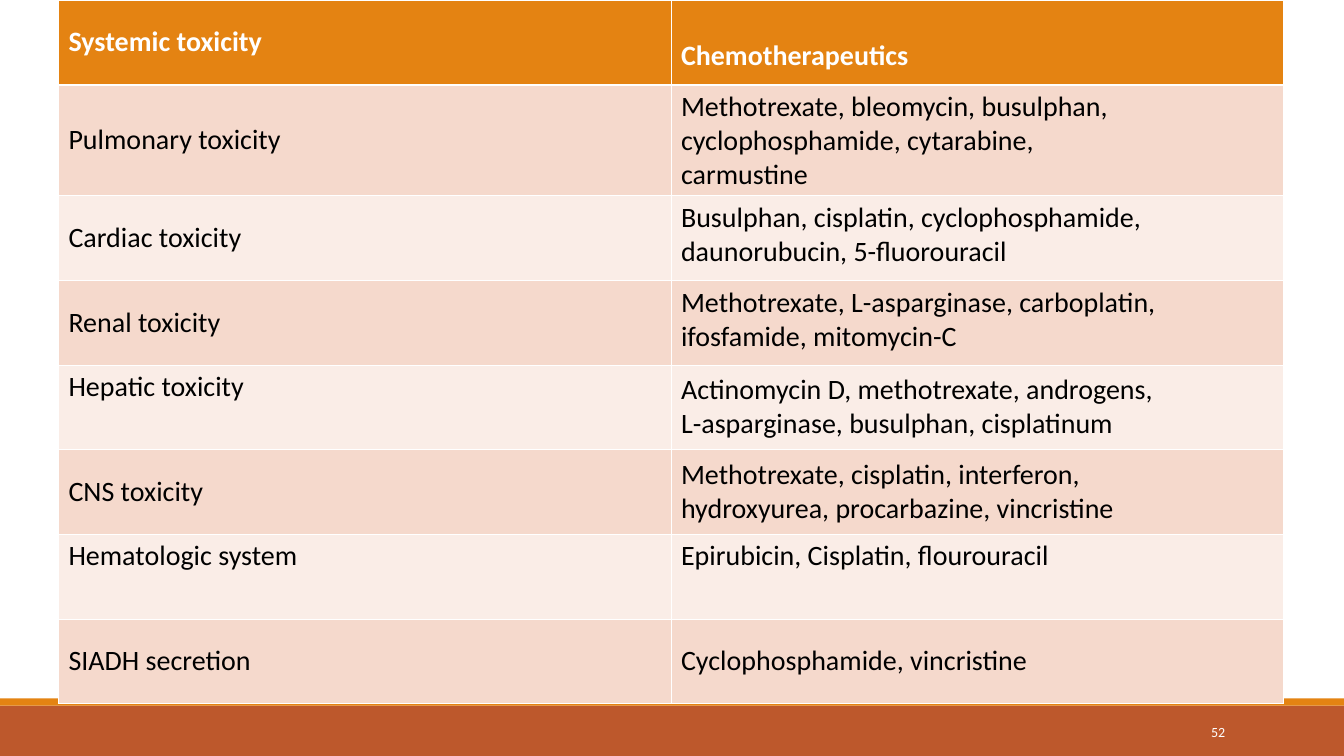
"""Build a slide with a table of systemic toxicities of chemotherapeutics."""
from lxml.etree import SubElement
from pptx import Presentation
from pptx.dml.color import RGBColor
from pptx.enum.shapes import MSO_SHAPE
from pptx.enum.text import MSO_ANCHOR, PP_ALIGN
from pptx.oxml.ns import qn
from pptx.util import Inches, Pt

TOP, MIDDLE, BOTTOM = MSO_ANCHOR.TOP, MSO_ANCHOR.MIDDLE, MSO_ANCHOR.BOTTOM
ROWS = [
    (("Systemic toxicity", MIDDLE), ("Chemotherapeutics", BOTTOM)),
    (("Pulmonary toxicity", MIDDLE),
     ("Methotrexate, bleomycin, busulphan,\ncyclophosphamide, cytarabine,\ncarmustine", TOP)),
    (("Cardiac toxicity", MIDDLE),
     ("Busulphan, cisplatin, cyclophosphamide,\ndaunorubucin, 5-fluorouracil", TOP)),
    (("Renal toxicity", MIDDLE),
     ("Methotrexate, L-asparginase, carboplatin,\nifosfamide, mitomycin-C", TOP)),
    (("Hepatic toxicity", TOP),
     ("Actinomycin D, methotrexate, androgens,\nL-asparginase, busulphan, cisplatinum", MIDDLE)),
    (("CNS toxicity", MIDDLE),
     ("Methotrexate, cisplatin, interferon,\nhydroxyurea, procarbazine, vincristine", MIDDLE)),
    (("Hematologic system", TOP), ("Epirubicin, Cisplatin, flourouracil", TOP)),
    (("SIADH secretion", MIDDLE), ("Cyclophosphamide, vincristine", MIDDLE)),
]
PAGE_NUMBER = "52"
COLORS = {"white": "FFFFFF", "black": "000000", "orange": "E48312",
          "rust": "BD582C", "dark_band": "F5D9CC", "light_band": "FAEDE7"}
BANDS = [("rust", 7, 0.5), ("orange", 6.93, 0.07)]
FONT = "Calibri"
ROW_HEIGHT, TALL_ROW_HEIGHT, COLUMN_WIDTH = 0.84, 1.1, 6.08
THIN, THICK = 0.45, 1.47


def color(name):
    return RGBColor.from_string(COLORS[name])


def write(para, text, size, ink, bold=False):
    for index, line in enumerate(text.split("\n")):
        if index:
            para.add_line_break()
        span = para.add_run()
        span.text = line
        span.font.name = FONT
        span.font.size = Pt(size)
        span.font.bold = bold
        span.font.color.rgb = color(ink)


def add_borders(cell, row):
    widths = {"a:lnL": THIN, "a:lnR": THIN,
              "a:lnT": THICK if row == 1 else THIN,
              "a:lnB": THICK if row == 0 else THIN}
    properties = cell._tc.get_or_add_tcPr()
    for tag, width in widths.items():
        border = SubElement(properties, qn(tag), w=str(int(Pt(width))))
        fill = SubElement(border, qn("a:solidFill"))
        SubElement(fill, qn("a:srgbClr"), val=COLORS["white"])


def add_bands(page, width):
    for name, top, height in BANDS:
        band = page.shapes.add_shape(MSO_SHAPE.RECTANGLE, 0, Inches(top), width, Inches(height))
        band.shadow.inherit = False
        band.fill.solid()
        band.fill.fore_color.rgb = color(name)
        band.line.fill.background()


def add_page_number(page):
    box = page.shapes.add_textbox(Inches(10.83), Inches(7.06), Inches(1.43), Inches(0.4))
    frame = box.text_frame
    frame.word_wrap = True
    frame.vertical_anchor = MIDDLE
    para = frame.paragraphs[0]
    para.alignment = PP_ALIGN.RIGHT
    write(para, PAGE_NUMBER, 10, "white")


def add_toxicity_table(page):
    heights = [TALL_ROW_HEIGHT if row == 1 else ROW_HEIGHT for row in range(len(ROWS))]
    table = page.shapes.add_table(len(ROWS), 2, Inches(0.58), 0,
                                  Inches(2 * COLUMN_WIDTH), Inches(sum(heights))).table
    for column in table.columns:
        column.width = Inches(COLUMN_WIDTH)
    for row, (height, entries) in enumerate(zip(heights, ROWS)):
        table.rows[row].height = Inches(height)
        header = row == 0
        background = "orange" if header else "dark_band" if row % 2 else "light_band"
        for column, (text, anchor) in enumerate(entries):
            cell = table.cell(row, column)
            add_borders(cell, row)
            cell.fill.solid()
            cell.fill.fore_color.rgb = color(background)
            cell.vertical_anchor = anchor
            if anchor == BOTTOM:
                cell.margin_bottom = Inches(0.11)
            write(cell.text_frame.paragraphs[0], text, 20,
                  "white" if header else "black", header)


def main():
    deck = Presentation()
    deck.slide_width, deck.slide_height = Inches(13.34), Inches(7.5)
    page = deck.slides.add_slide(deck.slide_layouts[6])
    add_bands(page, deck.slide_width)
    add_page_number(page)
    add_toxicity_table(page)
    deck.save("out.pptx")


if __name__ == "__main__":
    main()
